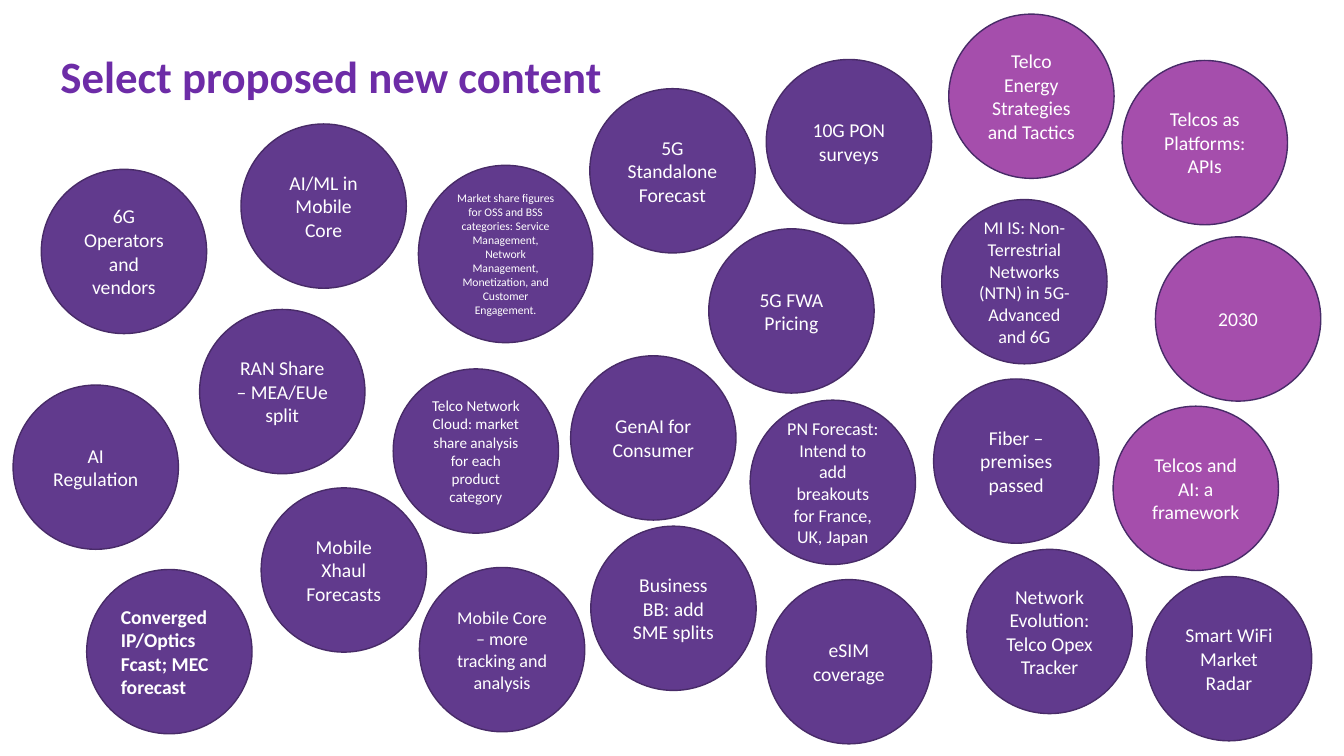
from pptx import Presentation
from pptx import util as u
from pptx.dml.color import RGBColor
from pptx.enum import shapes, text

TITLE_PURPLE = RGBColor(0x6D, 0x2C, 0xA7)
PURPLE = RGBColor(0x61, 0x3A, 0x8D)
MAGENTA = RGBColor(0xA5, 0x4E, 0xAC)
OUTLINE = RGBColor(0x48, 0x2B, 0x68)
WHITE = RGBColor(0xFF, 0xFF, 0xFF)

CELL = u.Inches(0.1)  # side of one square of the layout grid
BUBBLE = (16.4, 16.3)  # columns and rows covered by a bubble
LARGE_BUBBLE = (17.3, 17.6)

# Column, row, wording and any departures from the usual bubble
TOPICS = [
    (4.1, 16.8, "6G Operators and vendors", {}),
    (1.3, 38.2, "AI Regulation", {}),
    (25.9, 48.4, "Mobile Xhaul Forecasts", {}),
    (19.8, 30.7, "RAN Share – MEA/EUe split", {}),
    (41.6, 56.3, "Mobile Core – more tracking and analysis", {"size": 12.9}),
    (41.5, 16.4, "Market share figures for OSS and BSS categories: Service Management, "
     "Network Management, Monetization, and Customer Engagement.",
     {"size": 8.3, "extent": LARGE_BUBBLE}),
    (39, 36.6, "Telco Network Cloud: market share analysis for each product category",
     {"size": 10.8}),
    (58.6, 52.2, "Business BB: add SME splits", {}),
    (111.3, 6, "Telcos as Platforms: APIs", {"fill": MAGENTA}),
    (58.5, 8.8, "5G Standalone Forecast", {}),
    (92.6, 37.6, "Fiber – premises passed", {}),
    (76, 57.5, "eSIM coverage", {}),
    (93.4, 19.8, "MI IS: Non-Terrestrial Networks (NTN) in 5G-Advanced and 6G", {"size": 12.9}),
    (95.9, 54.5, "Network Evolution: Telco Opex Tracker", {}),
    (76, 5.9, "10G PON surveys", {}),
    (23.9, 12.3, "AI/ML in Mobile Core", {}),
    (8.6, 56.5, "Converged IP/Optics Fcast; MEC forecast",
     {"bold": True, "alignment": text.PP_ALIGN.LEFT}),
    (113.7, 57.2, "Smart WiFi Market Radar", {}),
    (70.3, 22.7, "5G FWA Pricing", {}),
    (56.6, 35.3, "GenAI for Consumer", {}),
    (74.4, 39.7, "PN Forecast: Intend to add breakouts for France, UK, Japan", {"size": 12.9}),
    (114.6, 23.5, "2030", {"fill": MAGENTA}),
    (110.4, 40.3, "Telcos and AI: a framework", {"fill": MAGENTA}),
    (94.1, 1.4, "Telco Energy Strategies and Tactics", {"fill": MAGENTA}),
]


def write(shape, wording, alignment, color, **font_format):
    """Put one formatted, vertically centred paragraph into the shape."""
    frame = shape.text_frame
    frame.word_wrap = True
    frame.auto_size = text.MSO_AUTO_SIZE.NONE
    frame.vertical_anchor = text.MSO_ANCHOR.MIDDLE
    paragraph = frame.paragraphs[0]
    paragraph.alignment = alignment
    run = paragraph.add_run()
    run.text = wording
    run.font.color.rgb = color
    for name, value in font_format.items():
        setattr(run.font, name, value)
    return paragraph


presentation = Presentation()
presentation.slide_width = u.Inches(13.33)
presentation.slide_height = u.Inches(7.5)
slide = presentation.slides.add_slide(presentation.slide_layouts[5])

title = slide.shapes.title
title_place = {"left": 5, "top": 5, "width": 123.3, "height": 5.9}
for name, cells in title_place.items():
    setattr(title, name, round(cells * CELL))
paragraph = write(title, "Select proposed new content", text.PP_ALIGN.LEFT, TITLE_PURPLE,
                  name="Calibri", size=u.Pt(32), bold=True)
paragraph.line_spacing = 0.85

usual = {"size": 14, "fill": PURPLE, "bold": False, "extent": BUBBLE,
         "alignment": text.PP_ALIGN.CENTER}
for column, row, wording, departures in TOPICS:
    style = {**usual, **departures}
    place = [round(cells * CELL) for cells in (column, row, *style["extent"])]
    bubble = slide.shapes.add_shape(shapes.MSO_SHAPE.OVAL, *place)
    bubble.shadow.inherit = False
    bubble.fill.solid()
    bubble.fill.fore_color.rgb = style["fill"]
    bubble.line.color.rgb = OUTLINE
    bubble.line.width = u.Pt(1)
    write(bubble, wording, style["alignment"], WHITE,
          name="Calibri", size=u.Pt(style["size"]), bold=style["bold"])

presentation.save("out.pptx")
